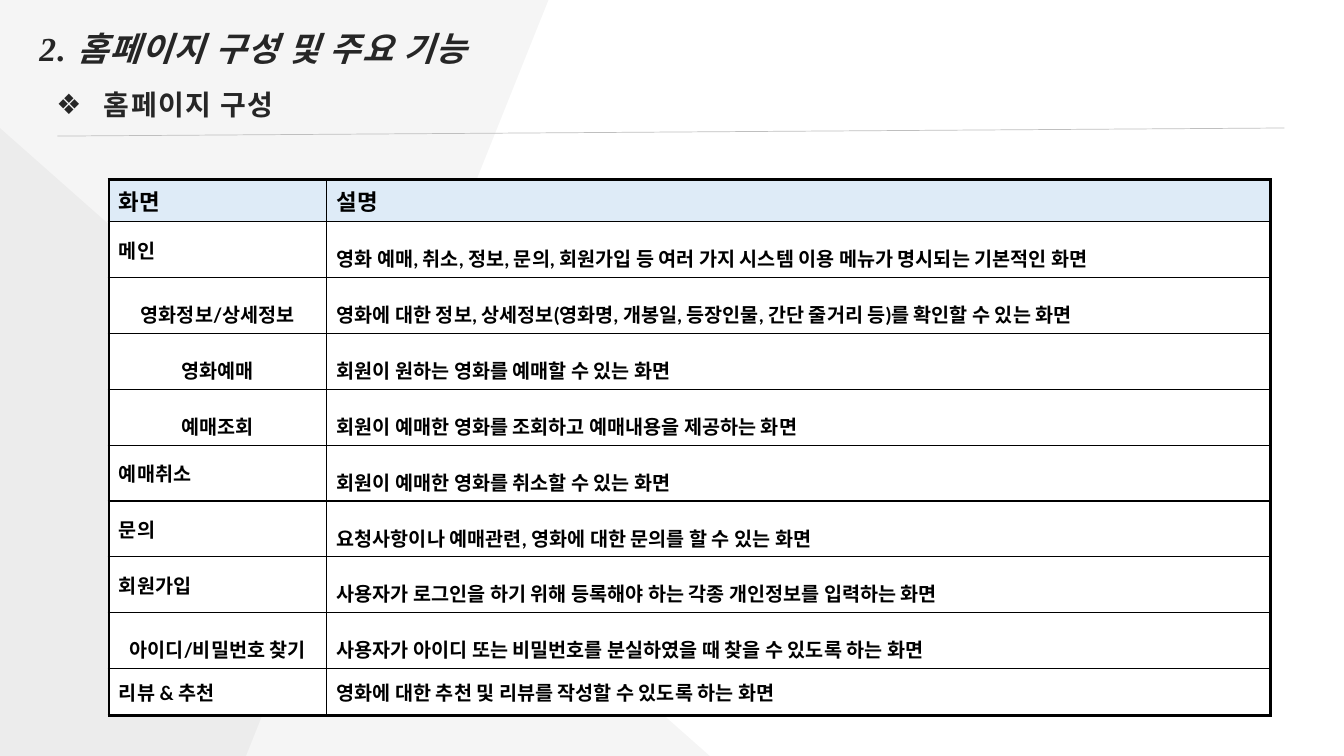
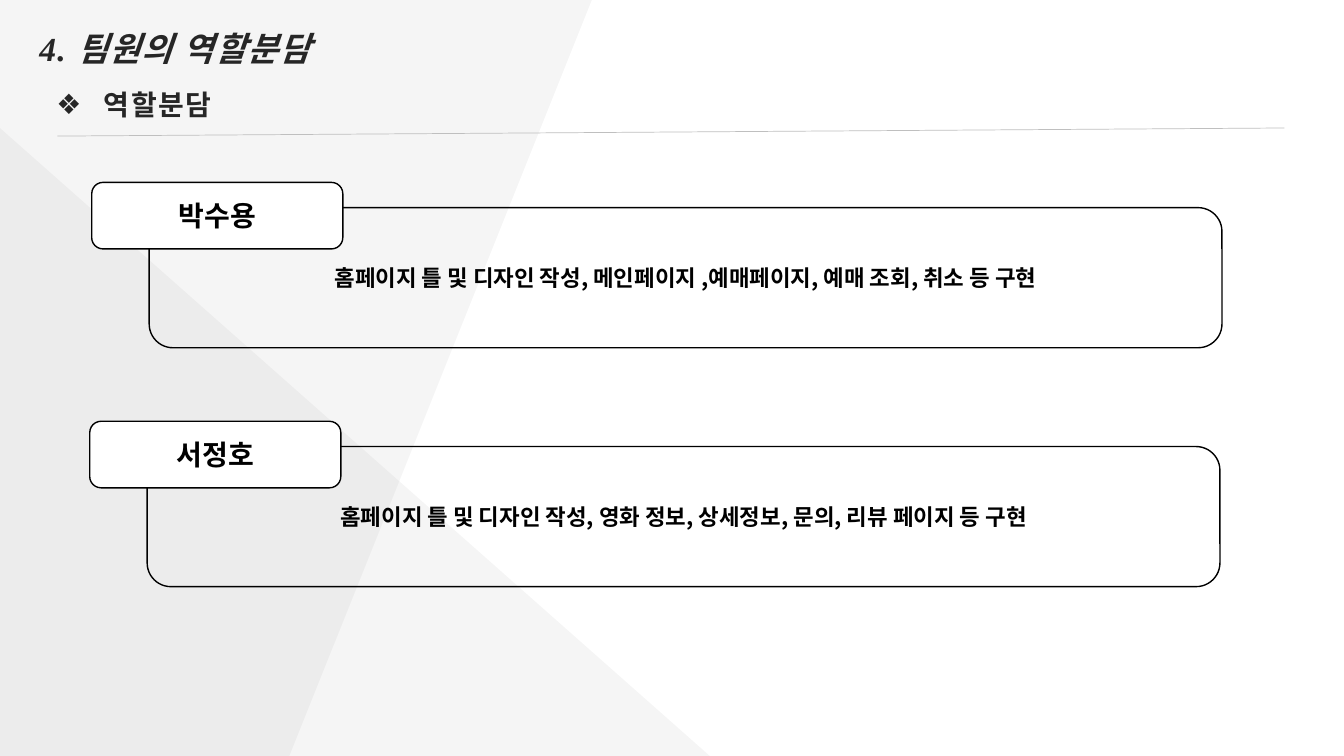
from dataclasses import dataclass
from typing import Optional

from lxml.etree import SubElement
from pptx import Presentation
from pptx.dml.color import RGBColor
from pptx.enum.shapes import MSO_CONNECTOR, MSO_SHAPE
from pptx.enum.text import MSO_ANCHOR, MSO_AUTO_SIZE, PP_ALIGN
from pptx.oxml.ns import qn
from pptx.util import Inches, Pt

INK = "262626"
BLACK = "000000"
WHITE = "FFFFFF"
SHADE = "181717"
RULE = "BFBFBF"
HEADER = "DEEBF7"
SERIF = "Times New Roman"
KOREAN = "Noto Sans CJK KR"
SLIDE_W, SLIDE_H = 13.33, 7.5


@dataclass
class Screen:
    name: str
    description: str
    centered: bool = False
    spacing: Optional[float] = 1.6
    height: float = 0.55
    size: int = 14
    fill: str = WHITE


@dataclass
class Role:
    member: str
    duty: str
    left: float
    top: float


SCREENS = [
    Screen("화면", "설명", spacing=None, height=0.42, size=16, fill=HEADER),
    Screen("메인", "영화 예매, 취소, 정보, 문의, 회원가입 등 여러 가지 시스템 이용 메뉴가 명시되는 기본적인 화면"),
    Screen("영화정보/상세정보",
           "영화에 대한 정보, 상세정보(영화명, 개봉일, 등장인물, 간단 줄거리 등)를 확인할 수 있는 화면", True),
    Screen("영화예매", "회원이 원하는 영화를 예매할 수 있는 화면", True),
    Screen("예매조회", "회원이 예매한 영화를 조회하고 예매내용을 제공하는 화면", True),
    Screen("예매취소", "회원이 예매한 영화를 취소할 수 있는 화면"),
    Screen("문의", "요청사항이나 예매관련, 영화에 대한 문의를 할 수 있는 화면"),
    Screen("회원가입", "사용자가 로그인을 하기 위해 등록해야 하는 각종 개인정보를 입력하는 화면"),
    Screen("아이디/비밀번호 찾기", "사용자가 아이디 또는 비밀번호를 분실하였을 때 찾을 수 있도록 하는 화면", True),
    Screen("리뷰 & 추천", "영화에 대한 추천 및 리뷰를 작성할 수 있도록 하는 화면", spacing=None, height=0.47),
]

ROLES = [
    Role("박수용", "홈페이지 틀 및 디자인 작성, 메인페이지 ,예매페이지, 예매 조회, 취소 등 구현", 0.91, 1.81),
    Role("서정호", "홈페이지 틀 및 디자인 작성, 영화 정보, 상세정보, 문의, 리뷰 페이지 등 구현", 0.89, 4.18),
]


def rgb(value: str) -> RGBColor:
    return RGBColor.from_string(value)


def style_runs(p, size: float, font: str, color: str, italic: bool = False, spacing: int = 0) -> None:
    for r in p.runs:
        r.font.size = Pt(size)
        r.font.bold = True
        r.font.italic = italic
        r.font.color.rgb = rgb(color)
        r.font.name = font
        rPr = r._r.get_or_add_rPr()
        SubElement(rPr, qn("a:ea")).set("typeface", KOREAN)
        if spacing:
            rPr.set("spc", str(spacing))


def place(sp, left: float, top: float, width: float, height: float) -> None:
    sp.left, sp.top = Inches(left), Inches(top)
    sp.width, sp.height = Inches(width), Inches(height)


def add_shade(s, points: list[tuple[float, float]], level: int) -> None:
    builder = s.shapes.build_freeform(Inches(points[0][0]), Inches(points[0][1]))
    builder.add_line_segments([(Inches(x), Inches(y)) for x, y in points[1:]], close=True)
    sp = builder.convert_to_shape()
    sp.shadow.inherit = False
    sp.fill.solid()
    sp.fill.fore_color.rgb = rgb(SHADE)
    sp.line.fill.background()
    color = sp.element.find(".//" + qn("a:srgbClr"))
    SubElement(color, qn("a:alpha")).set("val", "4000")
    sp.element.getparent().insert(2 + level, sp.element)


def add_rule(s) -> None:
    line = s.shapes.add_connector(
        MSO_CONNECTOR.STRAIGHT, Inches(0.57), Inches(1.35), Inches(12.74), Inches(1.27))
    line.line.color.rgb = rgb(RULE)
    line.line.width = Pt(0.5)
    SubElement(line.element.spPr, qn("a:effectLst"))


def add_base(prs, title: str, subtitle: str, band_top: float, band_bottom: float):
    s = prs.slides.add_slide(prs.slide_layouts[1])
    add_shade(s, [(0, 1.27), (7.04, SLIDE_H), (0, SLIDE_H)], 0)
    add_shade(s, [(0, 0), (band_top, 0), (band_bottom, SLIDE_H), (0, SLIDE_H)], 1)

    heading, body = s.shapes.title, s.placeholders[1]
    place(heading, 0.29, 0.23, 5.16, 0.52)
    place(body, 0.46, 0.82, 4.63, 0.68)
    for sp, text in ((heading, title), (body, subtitle)):
        tf = sp.text_frame
        tf.text = text
        tf.word_wrap = True
        tf.auto_size = MSO_AUTO_SIZE.NONE
        tf.vertical_anchor = MSO_ANCHOR.TOP
        tf.paragraphs[0].alignment = PP_ALIGN.LEFT
        tf.paragraphs[0].space_before = Pt(0)

    p = body.text_frame.paragraphs[0]
    pPr = p._p.get_or_add_pPr()
    pPr.set("marL", str(Inches(0.47)))
    pPr.set("indent", str(-Inches(0.47)))
    SubElement(pPr, qn("a:buChar")).set("char", "❖")
    style_runs(p, 20, SERIF, INK, spacing=100)
    style_runs(heading.text_frame.paragraphs[0], 24, SERIF, INK, italic=True, spacing=100)
    add_rule(s)
    return s


def set_borders(cell, widths: dict[str, float]) -> None:
    tcPr = cell._tc.get_or_add_tcPr()
    for i, (side, width) in enumerate(widths.items()):
        ln = SubElement(tcPr, qn(f"a:ln{side}"))
        ln.set("w", str(Pt(width)))
        SubElement(SubElement(ln, qn("a:solidFill")), qn("a:srgbClr")).set("val", BLACK)
        tcPr.insert(i, ln)


def add_screen_table(s, screens: list[Screen]) -> None:
    widths = (2.16, 9.36)
    height = sum(screen.height for screen in screens)
    frame = s.shapes.add_table(len(screens), len(widths), Inches(1.08), Inches(1.78),
                               Inches(sum(widths)), Inches(height))
    table = frame.table
    table.first_row = table.horz_banding = False
    for column, width in zip(table.columns, widths):
        column.width = Inches(width)
    for i, screen in enumerate(screens):
        table.rows[i].height = Inches(screen.height)
        for j, text in enumerate((screen.name, screen.description)):
            cell = table.cell(i, j)
            cell.text_frame.text = text
            cell.vertical_anchor = MSO_ANCHOR.MIDDLE
            cell.fill.solid()
            cell.fill.fore_color.rgb = rgb(screen.fill)
            p = cell.text_frame.paragraphs[0]
            if j == 0 and screen.centered:
                p.alignment = PP_ALIGN.CENTER
            elif j == 1 and screen.spacing:
                p.alignment = PP_ALIGN.JUSTIFY
            if screen.spacing and (j == 1 or screen.centered):
                p.line_spacing = screen.spacing
            style_runs(p, screen.size, "Lato", BLACK)
            set_borders(cell, {
                "L": 2.25 if j == 0 else 1,
                "R": 2.25 if j == 1 else 1,
                "T": 2.25 if i == 0 else 1,
                "B": 2.25 if i == len(screens) - 1 else 1,
            })


def add_box(s, left: float, top: float, width: float, height: float, text: str,
            size: float, font: str, fill: Optional[str] = None) -> None:
    sp = s.shapes.add_shape(MSO_SHAPE.ROUNDED_RECTANGLE, Inches(left), Inches(top),
                            Inches(width), Inches(height))
    sp.shadow.inherit = False
    sp.adjustments[0] = 0.17
    if fill:
        sp.fill.solid()
        sp.fill.fore_color.rgb = rgb(fill)
    else:
        sp.fill.background()
    sp.line.color.rgb = rgb(BLACK)
    sp.line.width = Pt(1)
    tf = sp.text_frame
    tf.text = text
    tf.word_wrap = True
    tf.vertical_anchor = MSO_ANCHOR.MIDDLE
    tf.paragraphs[0].alignment = PP_ALIGN.CENTER
    style_runs(tf.paragraphs[0], size, font, BLACK)


def add_role(s, role: Role) -> None:
    add_box(s, role.left + 0.57, role.top + 0.25, 10.64, 1.39, role.duty, 16, KOREAN)
    add_box(s, role.left, role.top, 2.49, 0.66, role.member, 20, "Calibri", WHITE)


def main() -> None:
    prs = Presentation()
    prs.slide_width, prs.slide_height = Inches(SLIDE_W), Inches(SLIDE_H)

    s = add_base(prs, "2. 홈페이지 구성 및 주요 기능", "홈페이지 구성", 5.44, 2.44)
    add_screen_table(s, SCREENS)

    s = add_base(prs, "4. 팀원의 역할분담", "역할분담", 5.87, 2.87)
    for role in ROLES:
        add_role(s, role)

    prs.save("out.pptx")


if __name__ == "__main__":
    main()
